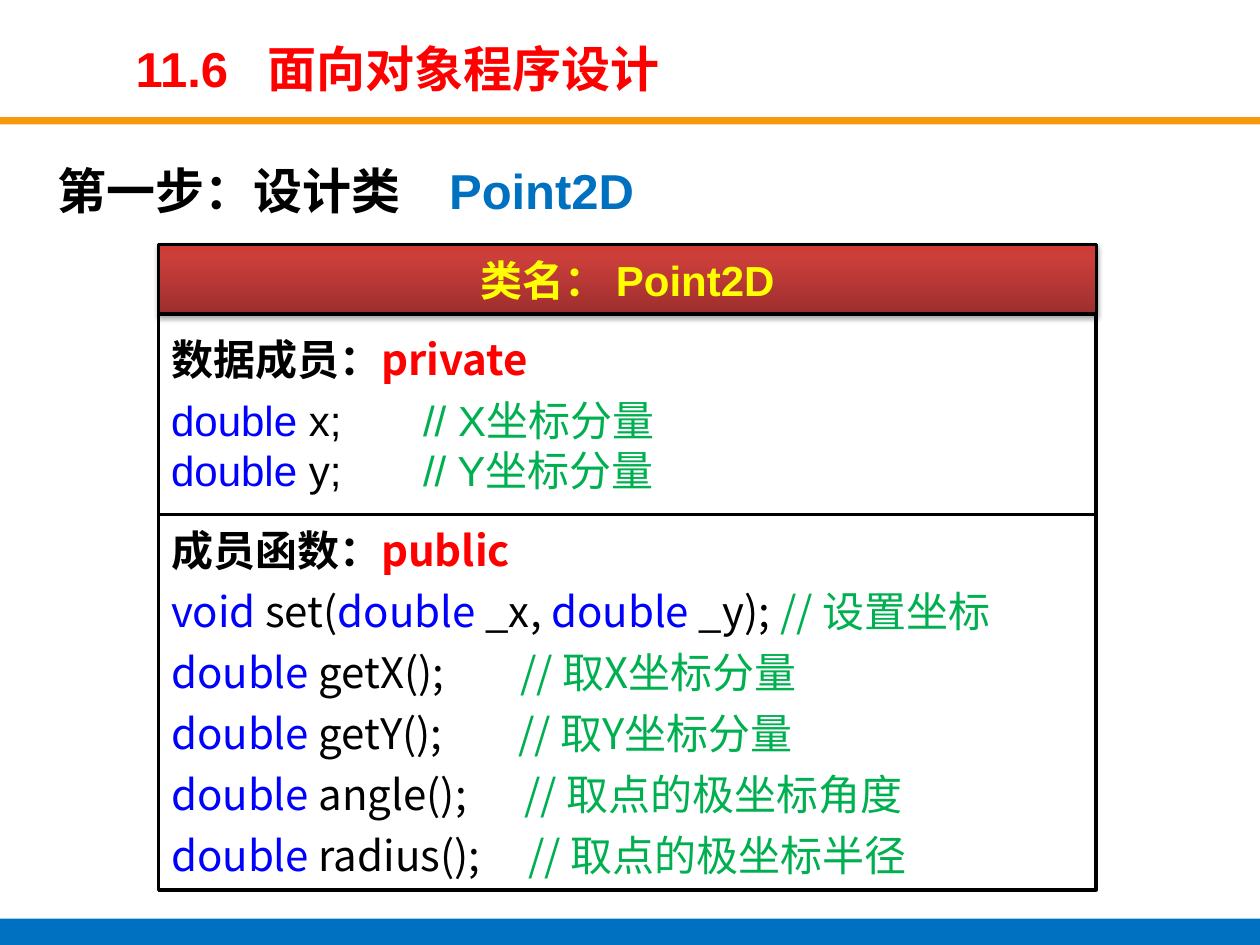
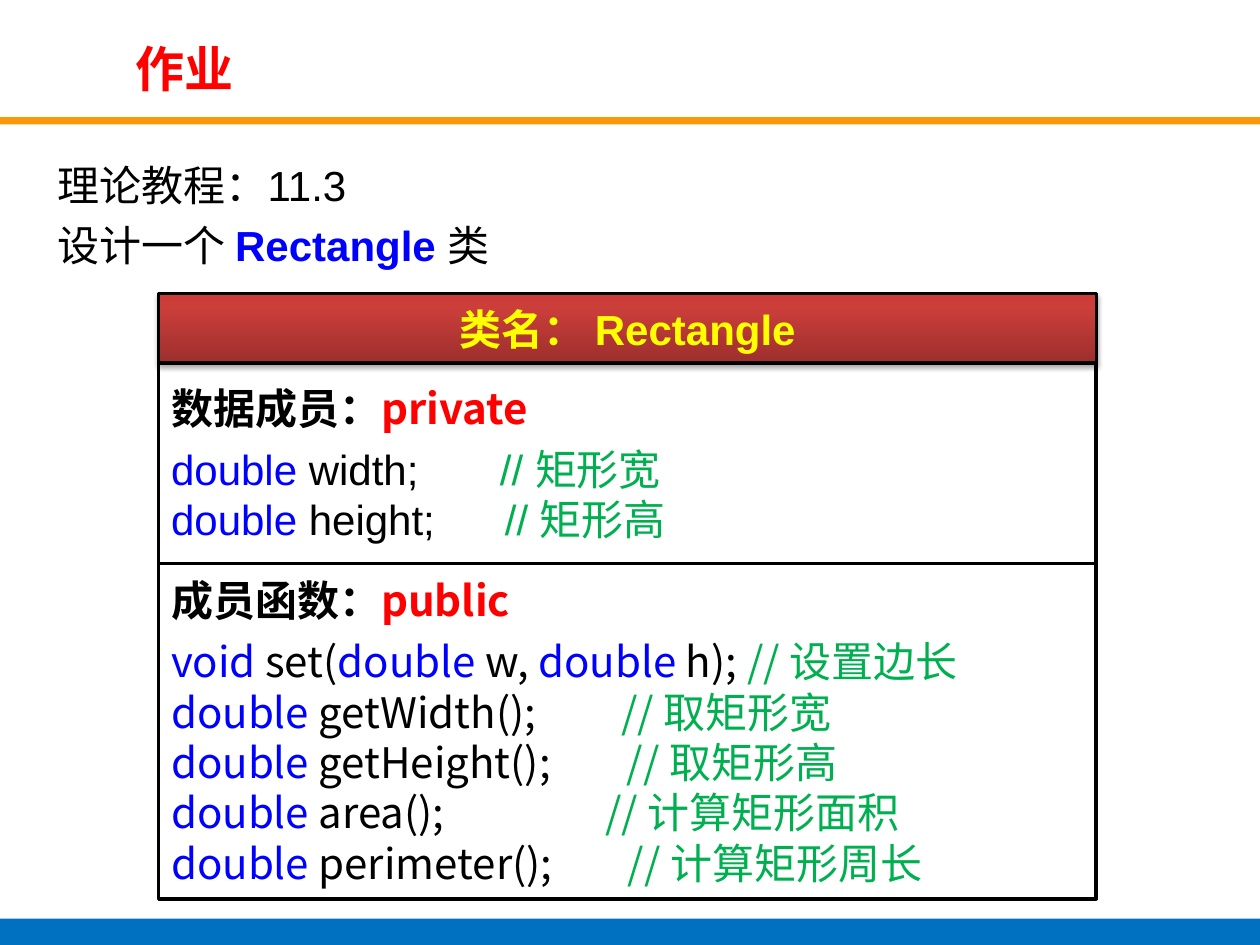
from copy import deepcopy

from lxml.etree import SubElement
from pptx import Presentation
from pptx.dml.color import RGBColor
from pptx.enum.shapes import MSO_SHAPE as Shape
from pptx.enum.text import MSO_ANCHOR as Anchor, PP_ALIGN as Align
from pptx.oxml.ns import qn
from pptx.util import Cm, Pt

COLORS = {
    "black": "000000",
    "white": "FFFFFF",
    "red": "FF0000",
    "yellow": "FFFF00",
    "keyword": "0000FF",
    "comment": "00B050",
    "blue": "0070C0",
    "orange": "F7990A",
}
HEADER_GRADIENT = [(0, "9C2F2D"), (0.8, "CB3E3A"), (1, "CE3B37")]
LATIN, CHINESE = "Arial", "Noto Sans CJK SC"
BOX_LEFT, BOX_WIDTH, HEADER_HEIGHT, DATA_HEIGHT = 3.2, 18.9, 1.4, 4.04

LESSONS = [
    {
        "title": "11.6\t面向对象程序设计",
        "intro": [[("第一步：设计类　", "black", True), ("Point2D", "blue", True)]],
        "intro_size": 28,
        "class": "Point2D",
        "top": 4.93,
        "data": [("double| x;", "// X坐标分量", 5.08), ("double| y;", "// Y坐标分量", 5.08)],
        "functions": [
            ("void| set(|double| _x, |double| _y);", "// 设置坐标", 12.28),
            ("double| getX();", "// 取X坐标分量", 7.04),
            ("double| getY();", "// 取Y坐标分量", 7),
            ("double| angle();", "// 取点的极坐标角度", 7.12),
            ("double| radius();", "// 取点的极坐标半径", 7.2),
        ],
        "functions_after": 6,
        "functions_height": 7.57,
    },
    {
        "title": "作业",
        "intro": [
            [("理论教程：11.3", "black", False)],
            [("设计一个 ", "black", False), ("Rectangle ", "keyword", True), ("类", "black", False)],
        ],
        "intro_size": 24,
        "class": "Rectangle",
        "top": 5.92,
        "data": [("double| width;", "// 矩形宽", 6.63), ("double| height;", "// 矩形高", 6.73)],
        "functions": [
            ("void| set(|double| w, |double| h);", "// 设置边长", 11.61),
            ("double| getWidth();", "// 取矩形宽", 9.07),
            ("double| getHeight();", "// 取矩形高", 9.19),
            ("double| area();", "// 计算矩形面积", 8.75),
            ("double| perimeter();", "// 计算矩形周长", 9.21),
        ],
        "functions_after": 0,
        "functions_height": 6.76,
    },
]


def write(frame, runs, size=24, font=LATIN, align=Align.LEFT, before=None, after=0,
          spacing=None, tab=None, unbulleted=False):
    paragraph = frame.add_paragraph() if frame.text else frame.paragraphs[0]
    paragraph.alignment = align
    paragraph.space_after = Pt(after)
    if before is not None:
        paragraph.space_before = Pt(before)
    if spacing:
        paragraph.line_spacing = spacing
    properties = paragraph._p.get_or_add_pPr()
    if unbulleted:
        properties.set("marL", "0")
        properties.set("indent", "0")
        SubElement(properties, qn("a:buNone"))
    if tab:
        tabs = SubElement(properties, qn("a:tabLst"))
        SubElement(tabs, qn("a:tab"), pos=str(Cm(tab)), algn="l")
    for text, color, bold in runs:
        run = paragraph.add_run()
        run.text = text
        run.font.size = Pt(size)
        run.font.bold = bold
        run.font.name = font
        run.font.color.rgb = RGBColor.from_string(COLORS[color])
        SubElement(run.font._element, qn("a:ea"), typeface=CHINESE)


def add_box(slide, left, top, width, height, fill=None, line_width=None, outline=Shape.RECTANGLE):
    box = slide.shapes.add_shape(outline, Cm(left), Cm(top), Cm(width), Cm(height))
    box.shadow.inherit = False
    if fill:
        box.fill.solid()
        box.fill.fore_color.rgb = RGBColor.from_string(COLORS[fill])
    else:
        box.fill.background()
    if line_width:
        box.line.color.rgb = RGBColor.from_string(COLORS["black"])
        box.line.width = Pt(line_width)
    else:
        box.line.fill.background()
    box.text_frame.word_wrap = True
    box.text_frame.vertical_anchor = Anchor.MIDDLE
    return box


presentation = Presentation()
presentation.slide_width, presentation.slide_height = Cm(25.4), Cm(19.05)
layout = presentation.slide_layouts[1]
for placeholder, (left, top, width, height) in zip(
    layout.placeholders, [(2.48, 0.66, 17.42, 1.4), (0.91, 2.88, 23.6, 15.21)]
):
    placeholder.left, placeholder.top = Cm(left), Cm(top)
    placeholder.width, placeholder.height = Cm(width), Cm(height)

slides = [presentation.slides.add_slide(layout) for lesson in LESSONS]
title_plate = add_box(slides[0], 2.06, 0.53, 17.86, 1.68, fill="white", outline=Shape.PARALLELOGRAM)
plate_color = title_plate.element.find(".//" + qn("a:srgbClr"))
SubElement(plate_color, qn("a:alpha"), val="80000")
top_band = add_box(slides[0], 0, 2.36, 25.4, 0.15, fill="orange")
bottom_band = add_box(slides[0], 0, 18.52, 25.4, 0.61, fill="blue")
for part in (bottom_band, title_plate, top_band):
    layout.shapes.element.insert(2, part.element)

for slide, lesson in zip(slides, LESSONS):
    title = slide.shapes.title.text_frame
    title.vertical_anchor = Anchor.MIDDLE
    write(title, [(lesson["title"], "red", True)], size=28, tab=2.66)

    body = slide.placeholders[1].text_frame
    for index, runs in enumerate(lesson["intro"]):
        write(body, runs, size=lesson["intro_size"], align=Align.JUSTIFY, spacing=1.2,
              before=0 if index else None, unbulleted=True)

    header = add_box(slide, BOX_LEFT, lesson["top"], BOX_WIDTH, HEADER_HEIGHT, line_width=1.5)
    header.fill.gradient()
    header.fill.gradient_angle = 90
    stop_list = header.element.find(".//" + qn("a:gsLst"))
    stop_list.insert(1, deepcopy(stop_list[0]))
    for stop, (position, color) in zip(header.fill.gradient_stops, HEADER_GRADIENT):
        stop.position = position
        stop.color.rgb = RGBColor.from_string(color)
    effects = header.element.find(".//" + qn("a:effectLst"))
    shadow = SubElement(
        effects, qn("a:outerShdw"), blurRad=str(Pt(3.1)), dist=str(Pt(1.8)), dir="5400000", rotWithShape="0"
    )
    shadow_color = SubElement(shadow, qn("a:srgbClr"), val=COLORS["black"])
    SubElement(shadow_color, qn("a:alpha"), val="35000")
    write(header.text_frame, [("类名： " + lesson["class"], "yellow", True)], align=Align.CENTER)

    section_top = lesson["top"] + HEADER_HEIGHT
    for label, access, members, font, after, height in [
        ("数据成员：", "private", lesson["data"], LATIN, 0, DATA_HEIGHT),
        ("成员函数：", "public", lesson["functions"], CHINESE,
         lesson["functions_after"], lesson["functions_height"]),
    ]:
        section = add_box(slide, BOX_LEFT, section_top, BOX_WIDTH, height, line_width=2)
        write(section.text_frame, [(label, "black", True), (access, "red", True)], font=CHINESE, after=6)
        for code, comment, tab in members:
            runs = [
                (piece, "black" if index % 2 else "keyword", False)
                for index, piece in enumerate(code.split("|"))
            ]
            runs.append(("\t" + comment, "comment", False))
            write(section.text_frame, runs, font=font, after=after, tab=tab)
        section_top += height

presentation.save("out.pptx")
